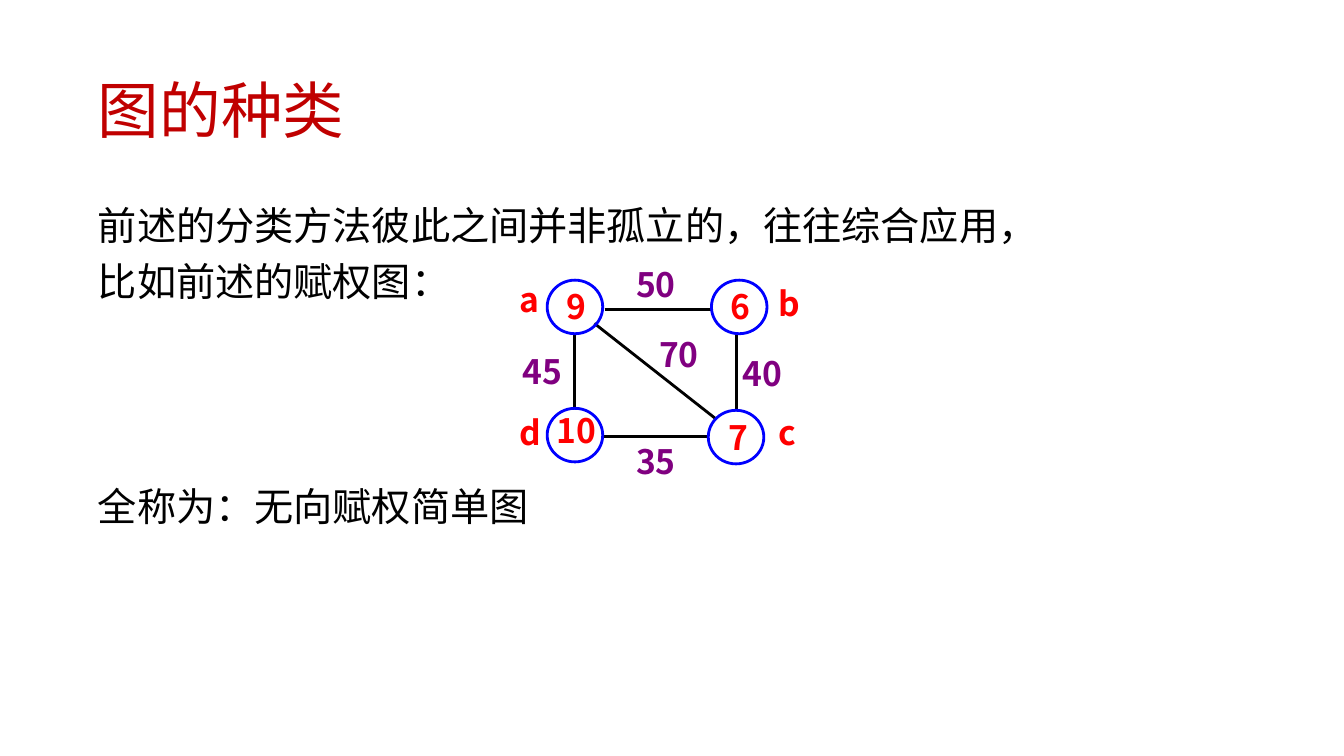
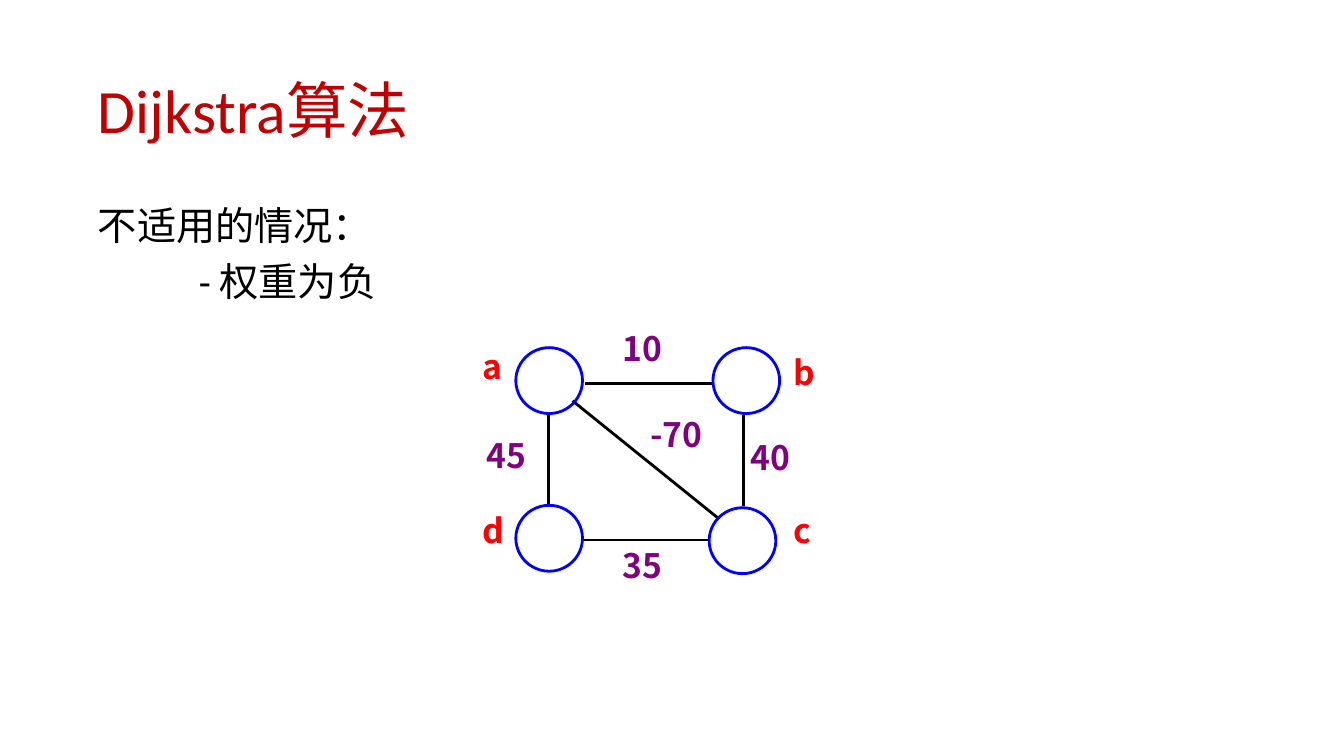
"""Builds two slides on weighted graphs and the limits of Dijkstra's algorithm."""
from lxml import etree
from pptx import Presentation
from pptx.dml.color import RGBColor
from pptx.enum import shapes as kinds, text as txt
from pptx.oxml import ns
from pptx.util import Cm, Pt

TITLE_RED = RGBColor(0xC0, 0x00, 0x00)
BLACK = RGBColor(0x00, 0x00, 0x00)
VERTEX_RED = RGBColor(0xFF, 0x00, 0x00)
VERTEX_BLUE = RGBColor(0x00, 0x00, 0xFF)
WEIGHT_PURPLE = RGBColor(0x80, 0x00, 0x80)

LATIN_FONT = "Calibri"
CJK_FONT = "Noto Sans CJK SC"
STROKE = Pt(2)

TITLE_BOX = (2.34, 1.02, 29.21, 3.68)
BODY_BOX = (2.34, 5.08, 29.21, 12.09)

CIRCLE = (1.4, 1.35)
LABEL = (1.5, 1.32)
VERTICES = {"a": (0, 0), "b": (4.14, 0), "c": (4.06, 3.28), "d": (0, 3.23)}
NAME_SPOTS = {"a": (-0.69, -0.03), "b": (5.84, 0.08),
              "c": (5.84, 3.33), "d": (-0.69, 3.33)}
VALUE_SPOTS = {"a": (0.48, 0.15), "b": (4.62, 0.15),
               "c": (4.57, 3.45), "d": (0.23, 3.28)}
EDGES = {"ab": (1.45, 0.74, 4.14, 0.74), "bc": (4.78, 1.37, 4.78, 3.25),
         "cd": (1.4, 3.94, 4.06, 3.94), "ad": (0.69, 1.37, 0.69, 3.25),
         "ac": (1.19, 1.09, 4.27, 3.51)}
WEIGHT_SPOTS = {"ab": (2.24, -0.41), "bc": (4.93, 1.83), "cd": (2.24, 4.04),
                "ad": (-0.61, 1.78), "ac": (2.82, 1.35)}


def add_text(shapes, box, *lines, size, color, font=LATIN_FONT, bold=False,
             margin=0.13, anchor=txt.MSO_ANCHOR.TOP, line_spacing=None,
             gaps=None, indents=None):
    """Write one paragraph per line; gaps and indents are keyed by line."""
    frame = shapes.add_textbox(*map(Cm, box)).text_frame
    frame.word_wrap = True
    frame.vertical_anchor = anchor
    frame.margin_left = frame.margin_right = Cm(margin)
    frame.margin_top = frame.margin_bottom = Cm(margin)
    for index, line in enumerate(lines):
        paragraph = frame.add_paragraph() if index else frame.paragraphs[0]
        paragraph.line_spacing = line_spacing
        if gaps:
            paragraph.space_before = Pt(gaps[index])
        if indents:
            paragraph._p.get_or_add_pPr().set("marL", str(Cm(indents[index])))
        run = paragraph.add_run()
        run.text = line
        run.font.size = Pt(size)
        run.font.bold = bold
        run.font.color.rgb = color
        run.font.name = font
        east_asian = etree.SubElement(run._r.get_or_add_rPr(), ns.qn("a:ea"))
        east_asian.set("typeface", CJK_FONT)


def add_edge(shapes, start, end):
    """Draw a straight edge between two points."""
    edge = shapes.add_connector(kinds.MSO_CONNECTOR.STRAIGHT,
                                *map(Cm, start + end))
    edge.line.color.rgb = BLACK
    edge.line.width = STROKE
    etree.SubElement(edge._element.spPr, ns.qn("a:effectLst"))


def add_vertex(shapes, box):
    """Draw the open circle of a vertex."""
    circle = shapes.add_shape(kinds.MSO_SHAPE.OVAL, *map(Cm, box))
    circle.shadow.inherit = False
    circle.fill.background()
    circle.line.color.rgb = VERTEX_BLUE
    circle.line.width = STROKE


def add_graph(slide, weights, values=None, *, origin, scale=(1, 1)):
    """Draw the four-vertex graph, with its vertex a at origin."""
    shapes = slide.shapes.add_group_shape().shapes

    def place(x, y):
        return origin[0] + x * scale[0], origin[1] + y * scale[1]

    def stretch(width, height):
        return width * scale[0], height * scale[1]

    def add_label(label, spot, color):
        add_text(shapes, place(*spot) + stretch(*LABEL), label, size=24,
                 color=color, font=CJK_FONT, bold=True, margin=0)

    for x1, y1, x2, y2 in EDGES.values():
        add_edge(shapes, place(x1, y1), place(x2, y2))
    for vertex, corner in VERTICES.items():
        add_vertex(shapes, place(*corner) + stretch(*CIRCLE))
        add_label(vertex, NAME_SPOTS[vertex], VERTEX_RED)
    for vertex, value in (values or {}).items():
        add_label(value, VALUE_SPOTS[vertex], VERTEX_RED)
    for edge, weight in weights.items():
        add_label(weight, WEIGHT_SPOTS[edge], WEIGHT_PURPLE)


def add_slide(deck, title, *body, gaps, indents=None):
    """Add a slide with its title and body text."""
    slide = deck.slides.add_slide(deck.slide_layouts[6])
    add_text(slide.shapes, TITLE_BOX, title, size=44, color=TITLE_RED,
             anchor=txt.MSO_ANCHOR.MIDDLE, line_spacing=0.9)
    add_text(slide.shapes, BODY_BOX, *body, size=28, color=BLACK,
             line_spacing=0.9, gaps=gaps, indents=indents)
    return slide


def main():
    """Build and save the deck."""
    deck = Presentation()
    deck.slide_width, deck.slide_height = Cm(33.87), Cm(19.05)

    graph_kinds = add_slide(
        deck, "图的种类",
        "前述的分类方法彼此之间并非孤立的，往往综合应用，",
        "比如前述的赋权图：",
        "全称为：无向赋权简单图",
        gaps=(10, 10, 130))
    add_graph(graph_kinds,
              {"ab": "50", "bc": "40", "cd": "35", "ad": "45", "ac": "70"},
              {"a": "9", "b": "6", "c": "7", "d": "10"},
              origin=(13.79, 7.06))

    dijkstra = add_slide(deck, "Dijkstra算法", "不适用的情况：", "- 权重为负",
                         gaps=(10, 10), indents=(0, 2.54))
    add_graph(dijkstra,
              {"ab": "10", "bc": "40", "cd": "35", "ad": "45", "ac": "-70"},
              origin=(13, 8.76), scale=(1.2, 1.23))

    deck.save("out.pptx")


if __name__ == "__main__":
    main()
